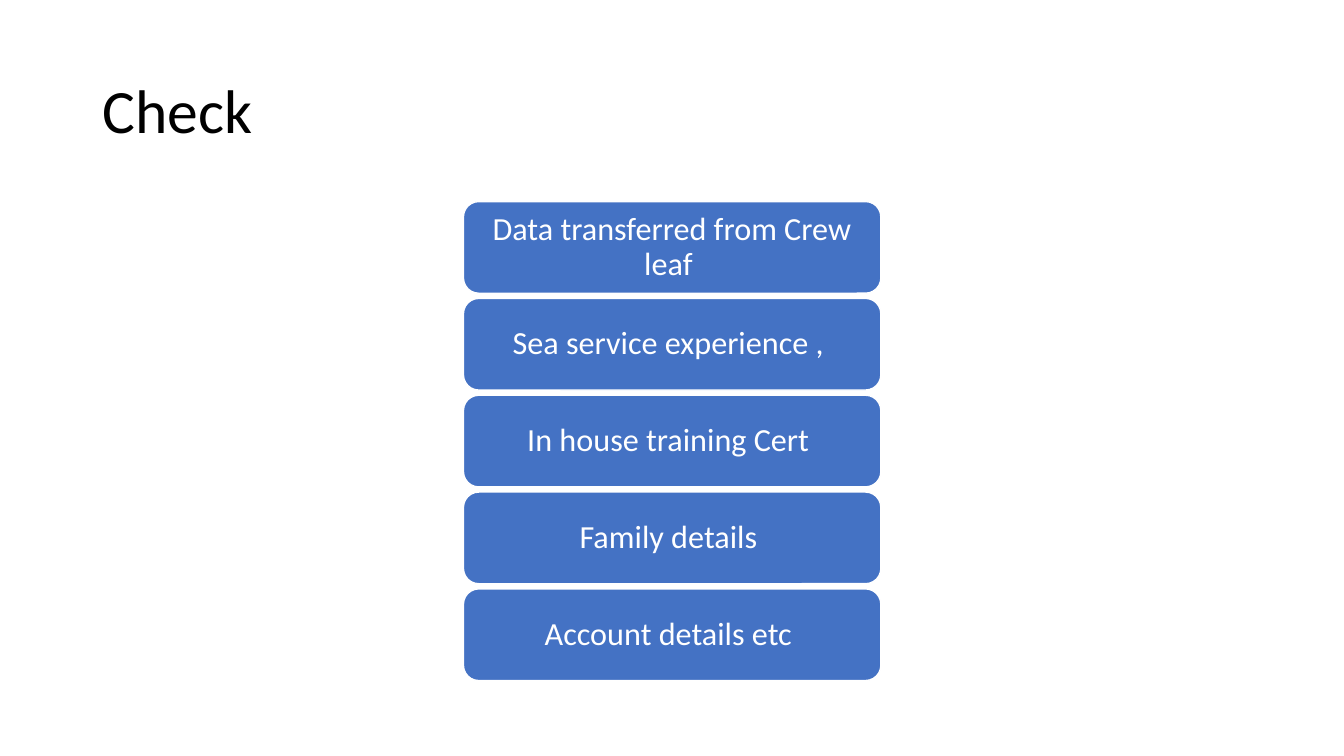
from pptx import Presentation
from pptx.dml.color import RGBColor as Rgb
from pptx.enum.shapes import MSO_SHAPE as Preset
from pptx.enum.text import MSO_ANCHOR as Anchor, PP_ALIGN as Align
from pptx.util import Cm, Pt

COLOURS = {"heading": "000000", "card": "4472C4", "edge": "FFFFFF", "label": "FFFFFF"}
CHECKS = [
    "Data transferred from Crew leaf ",
    "Sea service experience , ",
    "In house training Cert ",
    "Family details ",
    "Account details etc ",
]
HEADING_FRAME = {"word_wrap": True, "vertical_anchor": Anchor.MIDDLE}
CARD_FRAME = HEADING_FRAME | {
    "margin_left": Cm(0.36), "margin_right": Cm(0.36),
    "margin_top": Cm(0.24), "margin_bottom": Cm(0.24),
}
HEADING_FONT = {"name": "Calibri", "size": Pt(44)}
CARD_FONT = {"name": "Calibri", "size": Pt(23)}


def apply(target, values):
    """Set each named attribute on the target."""
    for name, value in values.items():
        setattr(target, name, value)


def write(holder, wording, frame, font, colour, align):
    """Put one formatted paragraph into a shape."""
    apply(holder.text_frame, frame)
    line = holder.text_frame.paragraphs[0]
    apply(line, {"alignment": align, "line_spacing": 0.9})
    run = line.add_run()
    run.text = wording
    apply(run.font, font)
    run.font.color.rgb = Rgb.from_string(COLOURS[colour])


def add_heading(slide, box, wording):
    """Place the heading in the given box."""
    heading = slide.shapes.add_textbox(*(Cm(length) for length in box))
    write(heading, wording, HEADING_FRAME, HEADING_FONT, "heading", Align.LEFT)


def add_checks(slide, box, checks, gap):
    """Stack equal cards, one per check, in the given box."""
    left, top, width, height = box
    card_height = (height - gap * (len(checks) - 1)) / len(checks)
    for index, check in enumerate(checks):
        card_top = top + index * (card_height + gap)
        card = slide.shapes.add_shape(
            Preset.ROUNDED_RECTANGLE, Cm(left), Cm(card_top), Cm(width), Cm(card_height))
        card.shadow.inherit = False
        card.fill.solid()
        card.fill.fore_color.rgb = Rgb.from_string(COLOURS["card"])
        card.line.color.rgb = Rgb.from_string(COLOURS["edge"])
        card.line.width = Pt(1)
        write(card, check, CARD_FRAME, CARD_FONT, "label", Align.CENTER)


def main():
    """Build and save the slide."""
    deck = Presentation()
    apply(deck, {"slide_width": Cm(33.87), "slide_height": Cm(19.05)})
    slide = deck.slides.add_slide(deck.slide_layouts[6])
    add_heading(slide, (2.33, 1.01, 29.21, 3.68), "Check")
    add_checks(slide, (11.68, 5.08, 10.52, 12.07), CHECKS, 0.13)
    deck.save("out.pptx")


if __name__ == "__main__":
    main()
